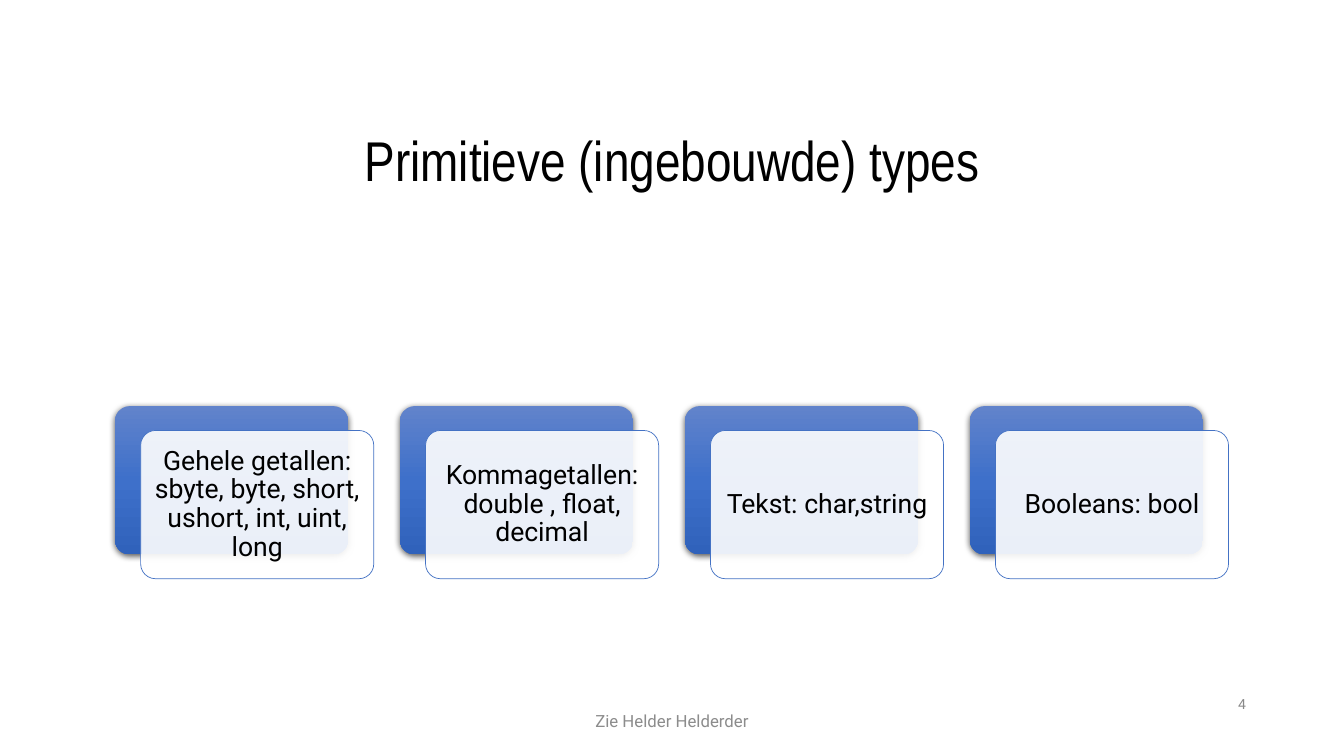
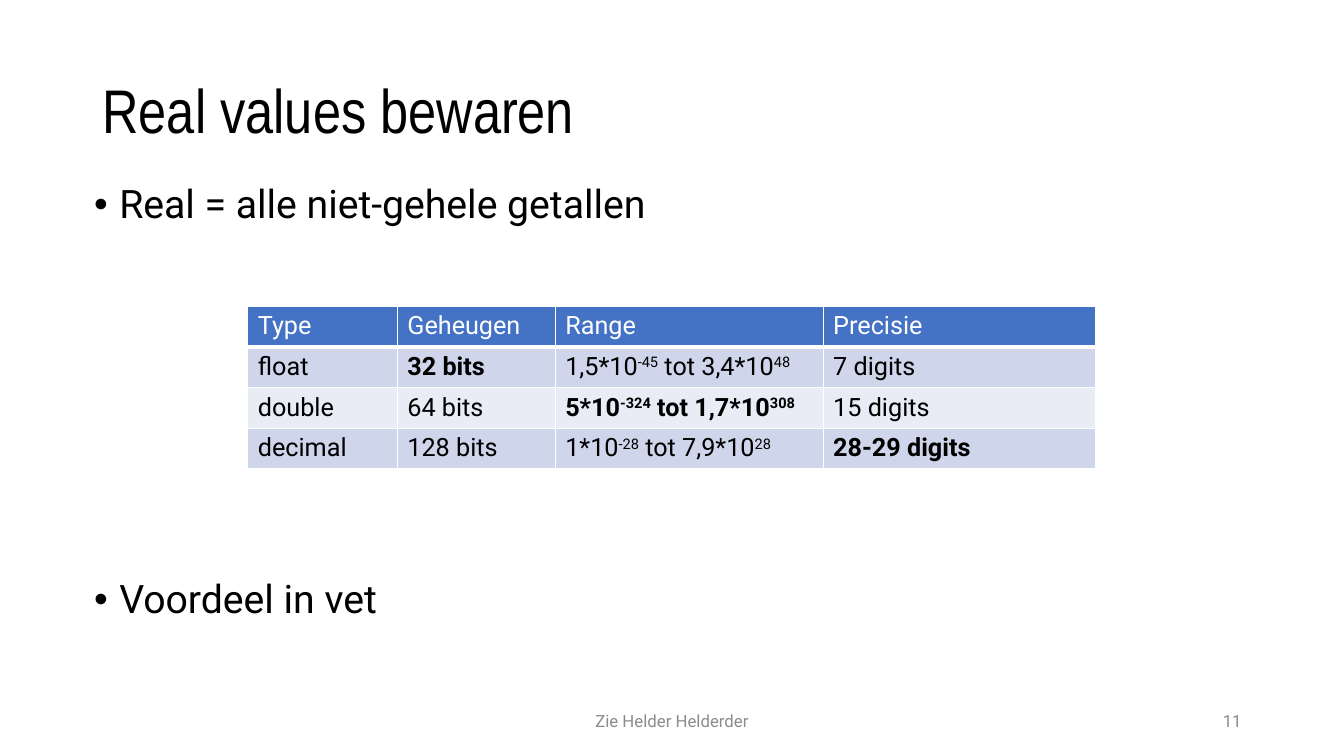
from pptx import Presentation
from pptx.dml.color import RGBColor
from pptx.enum.shapes import MSO_SHAPE
from pptx.enum.text import MSO_ANCHOR, MSO_AUTO_SIZE, PP_ALIGN
from pptx.oxml import parse_xml
from pptx.oxml.ns import nsdecls, qn
from pptx.util import Inches, Pt

HUES = {
    "ink": "000000", "paper": "FFFFFF", "blue": "4472C4",
    "top": "6183CB", "mid": "3E70CA", "low": "3062BB",
    "odd": "CFD5EA", "even": "E9EBF5", "foot": "8C8C8C", "page": "898989",
}
HEAD, BODY = "Arial Narrow", "Roboto"
NS = nsdecls("a")

deck = Presentation()
deck.slide_width, deck.slide_height = Inches(13.33), Inches(7.5)
COL, ROW = deck.slide_width / 160, deck.slide_height / 90


def area(x, y, wide, high):
    return round(x * COL), round(y * ROW), round(wide * COL), round(high * ROW)


def write(para, text, size, hue="ink", face=BODY, bold=False, align=PP_ALIGN.LEFT):
    para.alignment = align
    for i, part in enumerate(text.split("^")):
        run = para.add_run()
        run.text = part
        font = run.font
        font.name, font.size, font.bold = face, Pt(size), bold
        font.color.rgb = RGBColor.from_string(HUES[hue])
        if i % 2:
            run._r.get_or_add_rPr().set("baseline", "30000")


pages = [
    (5, "Primitieve (ingebouwde) types", 40, PP_ALIGN.CENTER, (15.5, 10.8, 129, 17.4),
     "4", 10, "page", (142, 81.7, 7.5, 4.1)),
    (1, "Real values bewaren", 44, PP_ALIGN.LEFT, (11, 4.8, 138, 17.4),
     "11", 12, "foot", (113, 83.4, 36, 4.8)),
]
for kind, text, size, align, spot, num, small, hue, corner in pages:
    slide = deck.slides.add_slide(deck.slide_layouts[kind])
    title = slide.shapes.title
    title.left, title.top, title.width, title.height = area(*spot)
    frame = title.text_frame
    frame.auto_size, frame.vertical_anchor = MSO_AUTO_SIZE.NONE, MSO_ANCHOR.MIDDLE
    frame.paragraphs[0].line_spacing = 0.9
    write(frame.paragraphs[0], text, size, face=HEAD, align=align)

    for words, points, tone, side, place in (
        ("Zie Helder Helderder", 12, "foot", PP_ALIGN.CENTER, (53, 83.4, 54, 4.8)),
        (num, small, hue, PP_ALIGN.RIGHT, corner),
    ):
        frame = slide.shapes.add_textbox(*area(*place)).text_frame
        frame.word_wrap, frame.vertical_anchor = True, MSO_ANCHOR.MIDDLE
        write(frame.paragraphs[0], words, points, tone, align=side)

types, reals = deck.slides

cards = [
    "Gehele getallen: sbyte, byte, short, ushort, int, uint, long",
    "Kommagetallen: double , float, decimal",
    "Tekst: char,string",
    "Booleans: bool",
]
stops = "".join(
    f'<a:gs pos="{pos}"><a:srgbClr val="{HUES[hue]}"/></a:gs>'
    for pos, hue in ((0, "top"), (50000, "mid"), (100000, "low"))
)
for i, text in enumerate(cards):
    x, y = 13.7 + 33.92 * i, 48.35
    back, front = [
        types.shapes.add_shape(MSO_SHAPE.ROUNDED_RECTANGLE, *area(x + dx, y + dy, 27.75, 17.65))
        for dx, dy in ((0, 0), (3.05, 2.9))
    ]
    for card in (back, front):
        card.adjustments[0] = 0.1
        card.shadow.inherit = False

    back.line.fill.background()
    props = back._element.spPr
    props.find(qn("a:prstGeom")).addnext(parse_xml(
        f'<a:gradFill {NS} rotWithShape="1"><a:gsLst>{stops}</a:gsLst>'
        '<a:lin ang="5400000" scaled="0"/></a:gradFill>'))
    props.find(qn("a:effectLst")).append(parse_xml(
        f'<a:outerShdw {NS} blurRad="57150" dist="19050" dir="5400000" algn="ctr" rotWithShape="0">'
        f'<a:srgbClr val="{HUES["ink"]}"><a:alpha val="63000"/></a:srgbClr></a:outerShdw>'))

    front.fill.solid()
    front.fill.fore_color.rgb = RGBColor.from_string(HUES["paper"])
    front._element.spPr.find(qn("a:solidFill"))[0].append(
        parse_xml(f'<a:alpha {NS} val="90000"/>'))
    front.line.color.rgb = RGBColor.from_string(HUES["blue"])
    front.line.width = Pt(0.5)
    frame = front.text_frame
    frame.word_wrap, frame.vertical_anchor = True, MSO_ANCHOR.MIDDLE
    frame.margin_left = frame.margin_right = frame.margin_top = frame.margin_bottom = Inches(0.08)
    frame.paragraphs[0].line_spacing = 0.9
    write(frame.paragraphs[0], text, 19, align=PP_ALIGN.CENTER)

body = reals.placeholders[1]
body.left, body.top, body.width, body.height = area(10, 21.4, 138, 57.1)
frame = body.text_frame
frame.auto_size = MSO_AUTO_SIZE.NONE
for i, (text, gap) in enumerate((("Real = alle niet-gehele getallen", 0), ("Voordeel in vet", 252))):
    para = frame.add_paragraph() if i else frame.paragraphs[0]
    props = para._p.get_or_add_pPr()
    props.set("marL", str(Inches(0.25)))
    props.set("indent", str(-Inches(0.25)))
    props.append(parse_xml(f'<a:buFont {NS} typeface="Arial"/>'))
    props.append(parse_xml(f'<a:buChar {NS} char="•"/>'))
    para.line_spacing, para.space_before = 0.9, Pt(gap)
    write(para, text, 28)

rows = [
    ("Type", "Geheugen", "Range", "Precisie"),
    ("float", "32 bits", "1,5*10^-45^ tot 3,4*10^48", "7 digits"),
    ("double", "64 bits", "5*10^-324^ tot 1,7*10^308", "15 digits"),
    ("decimal", "128 bits", "1*10^-28^ tot 7,9*10^28", "28-29 digits"),
]
wides = (17.8, 18.8, 31.9, 32.4)
high = 4.83
grid = reals.shapes.add_table(
    len(rows), len(wides), *area(29.5, 36.5, sum(wides), high * len(rows))).table
for col, wide in zip(grid.columns, wides):
    col.width = round(wide * COL)
for r, row in enumerate(rows):
    grid.rows[r].height = round(high * ROW)
    for c, text in enumerate(row):
        cell = grid.cell(r, c)
        cell.fill.solid()
        fill = "blue" if r == 0 else "odd" if r % 2 else "even"
        cell.fill.fore_color.rgb = RGBColor.from_string(HUES[fill])
        for i, side in enumerate("LRTB"):
            thick = 3 if r == 0 and side == "B" else 1
            cell._tc.get_or_add_tcPr().insert(i, parse_xml(
                f'<a:ln{side} {NS} w="{Pt(thick)}"><a:solidFill>'
                f'<a:srgbClr val="{HUES["paper"]}"/></a:solidFill></a:ln{side}>'))
        write(cell.text_frame.paragraphs[0], text, 18,
              "ink" if r else "paper", bold=c == r > 0)

deck.save("out.pptx")
